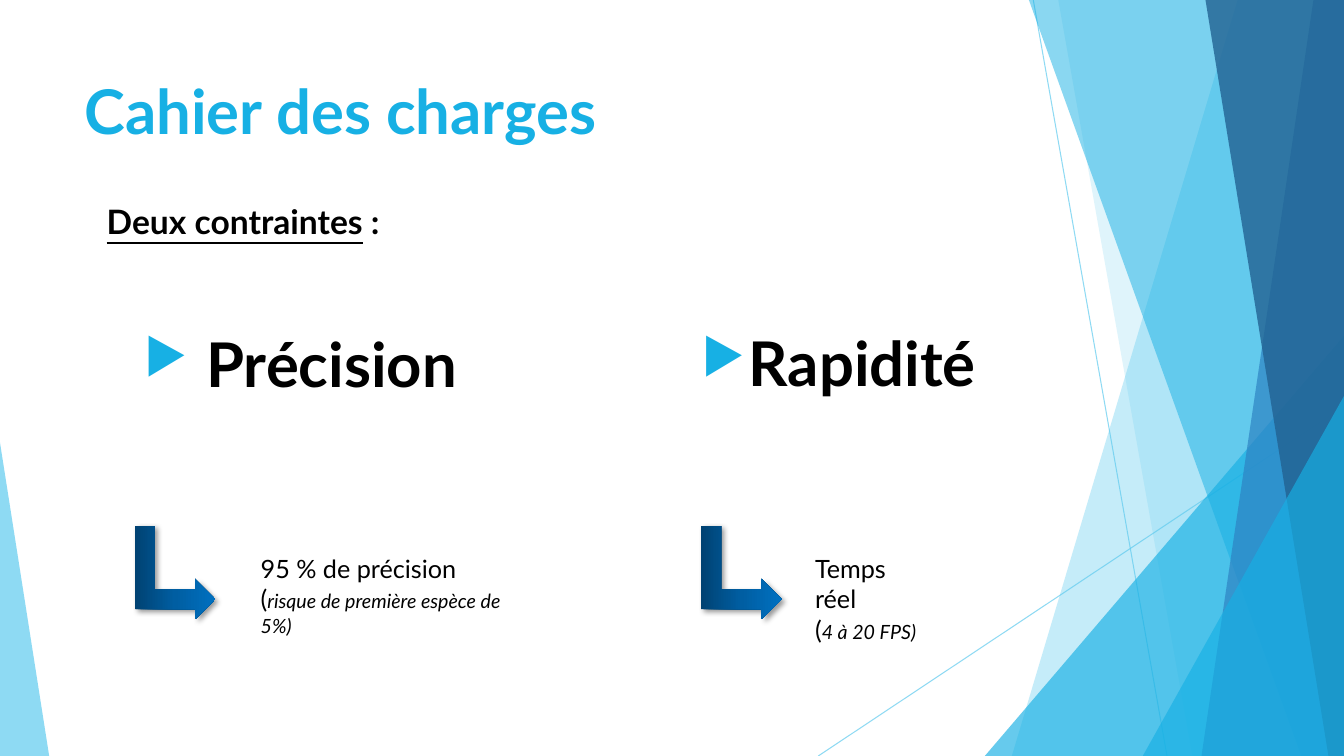
from copy import deepcopy

from lxml import etree
from pptx import Presentation
from pptx.dml.color import RGBColor
from pptx.enum.shapes import MSO_CONNECTOR, MSO_SHAPE
from pptx.enum.text import MSO_ANCHOR
from pptx.oxml import parse_xml
from pptx.oxml.ns import nsdecls, qn
from pptx.util import Cm, Pt

STRAIGHT = MSO_CONNECTOR.STRAIGHT
TRIANGLE = MSO_SHAPE.ISOSCELES_TRIANGLE
BENT_ARROW = MSO_SHAPE.BENT_UP_ARROW
TOP, MIDDLE = MSO_ANCHOR.TOP, MSO_ANCHOR.MIDDLE

WIDTH, HEIGHT = 33.87, 19.05
THEME = {
    "font": "Lato", "text": "000000", "accent": "17B0E4", "sky": "5FCBEF",
    "blue": "2E83C3", "navy": "226292",
    "arrow": ("004272", "005EA2", "0070C0"),
    "headline": 44, "subtitle": 24, "detail": 18, "note": 14,
}

THIN_LINES = [((26.04, 0), (29.41, HEIGHT)), ((WIDTH, 10.24), (20.62, HEIGHT))]
BACKDROP = [
    ("facet", 31.19, 25.5, "sky", 36),
    ("facet", 26.67, 30.05, "sky", 20),
    ("triangle", (24.82, 8.46, WIDTH), 1, "accent", 66),
    ("facet", 25.93, 32.79, "accent", 50),
    ("facet", 33.1, 30.28, "blue", 70),
    ("facet", 30.38, 33.48, "navy", 80),
    ("triangle", (28.8, 9.98, WIDTH), 1, "accent", 66),
    ("triangle", (0, 11.15, 1.24), 0, "sky", 70),
]

TITLE = ("Cahier des charges", (1.88, 1.7, 14.66, 2.16))
SUBTITLE = ("Deux contraintes", " :", (2.44, 4.93, 10.72, 1.7))
CONSTRAINTS = [
    {"name": "Précision", "name_box": (3.38, 8.08, 8.84, 2.13), "indent": 1.57, "spacing": 1.0,
     "arrow_left": 3.23, "detail": "95 % de précision", "note": "risque de première espèce de 5%)",
     "detail_box": (6.32, 13.82, 7.44, 1.8)},
    {"name": "Rapidité", "name_box": (17.43, 8.28, 10.64, 1.96), "indent": 1.19, "spacing": 0.9,
     "arrow_left": 17.5, "detail": "Temps réel", "note": "4 à 20 FPS)",
     "detail_box": (20.29, 13.82, 3.33, 1.8)},
]
ARROW_TOP, ARROW_WIDTH, ARROW_HEIGHT = 13.41, 2.36, 2.03


def color(name):
    return RGBColor.from_string(THEME[name])


def set_alpha(fill_owner, percent):
    srgb = fill_owner._element.spPr.find(".//" + qn("a:srgbClr"))
    etree.SubElement(srgb, qn("a:alpha")).set("val", str(percent * 1000))


def add_thin_line(slide, start, end):
    line = slide.shapes.add_connector(STRAIGHT, *(Cm(value) for value in start + end))
    line.line.color.rgb = color("sky")
    line.line.width = Pt(0.75)
    set_alpha(line, 70)
    etree.SubElement(line._element.spPr, qn("a:effectLst"))


def add_facet(slide, top_x, bottom_x):
    points = [(Cm(x), Cm(y)) for x, y in
              ((top_x, 0), (WIDTH, 0), (WIDTH, HEIGHT), (bottom_x, HEIGHT))]
    builder = slide.shapes.build_freeform(*points[0])
    builder.add_line_segments(points[1:], close=True)
    return builder.convert_to_shape()


def add_triangle(slide, edges, apex):
    left, top, right = edges
    shape = slide.shapes.add_shape(TRIANGLE, Cm(left), Cm(top), Cm(right - left), Cm(HEIGHT - top))
    shape.adjustments[0] = apex
    return shape


def add_backdrop(slide):
    for start, end in THIN_LINES:
        add_thin_line(slide, start, end)
    makers = {"facet": add_facet, "triangle": add_triangle}
    for kind, first, second, fill, opacity in BACKDROP:
        shape = makers[kind](slide, first, second)
        shape.fill.solid()
        shape.fill.fore_color.rgb = color(fill)
        set_alpha(shape, opacity)
        shape.line.fill.background()
        shape.shadow.inherit = False


def add_text(slide, box, size, bold=False, fill="text", anchor=TOP):
    frame = slide.shapes.add_textbox(*(Cm(value) for value in box)).text_frame
    frame.word_wrap = True
    frame.vertical_anchor = anchor
    paragraph = frame.paragraphs[0]
    paragraph.font.name = THEME["font"]
    paragraph.font.size = Pt(THEME[size])
    paragraph.font.bold = bold
    paragraph.font.color.rgb = color(fill)
    return paragraph


def add_run(paragraph, text):
    run = paragraph.add_run()
    run.text = text
    return run


def add_bullet(paragraph, indent):
    properties = paragraph._p.get_or_add_pPr()
    properties.set("marL", str(Cm(indent)))
    properties.set("indent", str(-Cm(indent)))
    bullet = (
        f'<a:buClr {nsdecls("a")}><a:srgbClr val="{THEME["accent"]}"/></a:buClr>',
        f'<a:buSzPct {nsdecls("a")} val="80000"/>',
        f'<a:buChar {nsdecls("a")} char="▶"/>',
    )
    defaults = properties.find(qn("a:defRPr"))
    for xml in bullet:
        defaults.addprevious(parse_xml(xml))


def add_bent_arrow(slide, left):
    arrow = slide.shapes.add_shape(BENT_ARROW, Cm(left), Cm(ARROW_TOP),
                                   Cm(ARROW_WIDTH), Cm(ARROW_HEIGHT))
    arrow.rotation = 90
    arrow.line.fill.background()
    arrow.fill.gradient()
    arrow.fill.gradient_angle = 90
    first_stop = arrow._element.spPr.find(".//" + qn("a:gs"))
    first_stop.addnext(deepcopy(first_stop))
    for stop, position, shade in zip(arrow.fill.gradient_stops, (0, 0.5, 1), THEME["arrow"]):
        stop.position = position
        stop.color.rgb = RGBColor.from_string(shade)
    arrow.shadow.inherit = False
    arrow._element.spPr.find(qn("a:effectLst")).append(parse_xml(
        f'<a:outerShdw {nsdecls("a")} blurRad="{Pt(4)}" dist="{Pt(3)}" dir="2700000" '
        f'rotWithShape="0"><a:srgbClr val="{THEME["text"]}"><a:alpha val="40000"/>'
        '</a:srgbClr></a:outerShdw>'))


def add_constraint(slide, constraint):
    name = add_text(slide, constraint["name_box"], "headline", bold=True)
    name.line_spacing = constraint["spacing"]
    add_bullet(name, constraint["indent"])
    add_run(name, constraint["name"])
    add_bent_arrow(slide, constraint["arrow_left"])
    detail = add_text(slide, constraint["detail_box"], "detail")
    add_run(detail, constraint["detail"])
    detail.add_line_break()
    add_run(detail, "(")
    note = add_run(detail, constraint["note"])
    note.font.size = Pt(THEME["note"])
    note.font.italic = True


def main():
    presentation = Presentation()
    presentation.slide_width = Cm(WIDTH)
    presentation.slide_height = Cm(HEIGHT)
    slide = presentation.slides.add_slide(presentation.slide_layouts[6])
    add_backdrop(slide)

    title, title_box = TITLE
    add_run(add_text(slide, title_box, "headline", True, "accent", MIDDLE), title)
    underlined, ending, subtitle_box = SUBTITLE
    subtitle = add_text(slide, subtitle_box, "subtitle", bold=True)
    add_run(subtitle, underlined).font.underline = True
    add_run(subtitle, ending)

    for constraint in CONSTRAINTS:
        add_constraint(slide, constraint)
    presentation.save("out.pptx")


if __name__ == "__main__":
    main()
